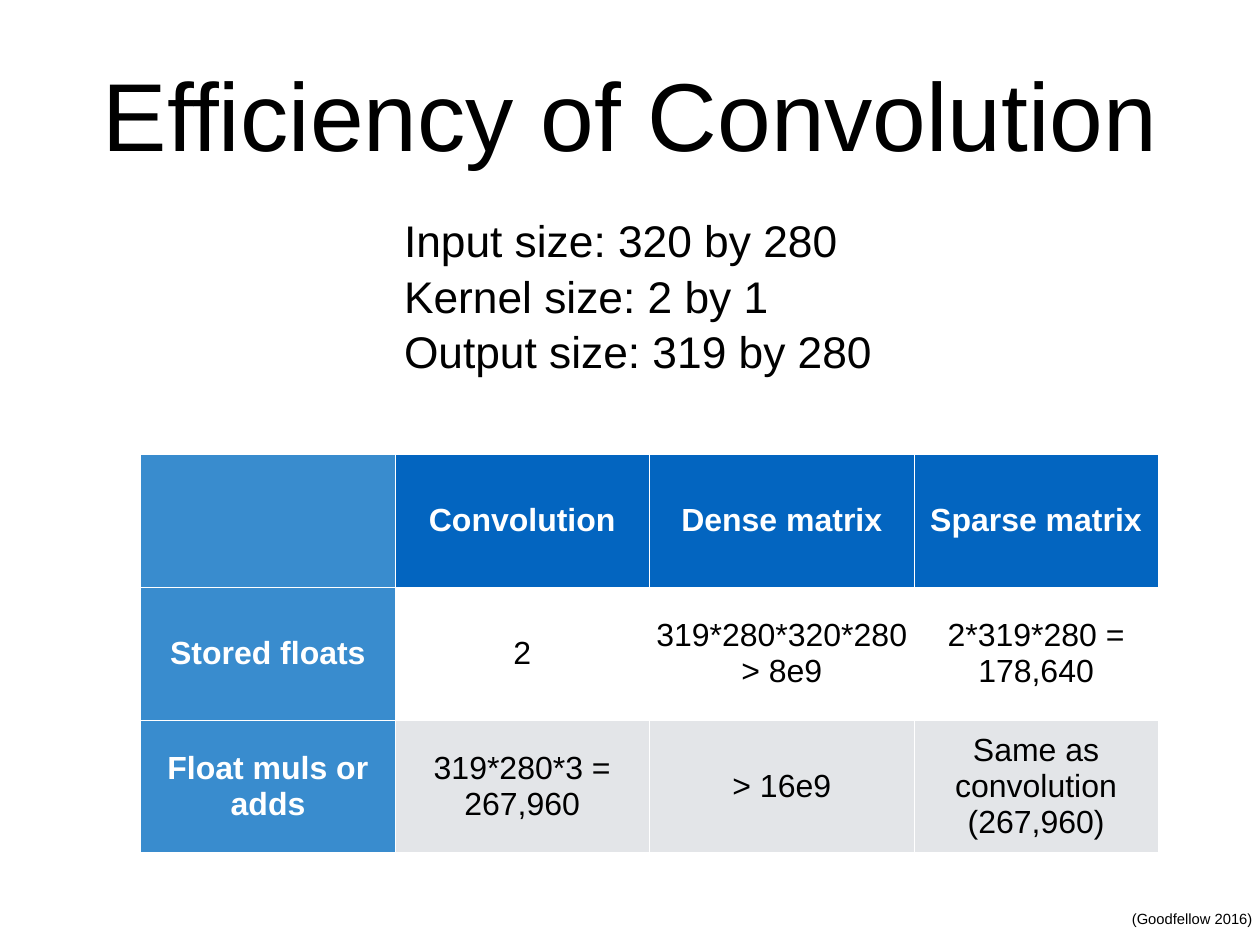
from pptx import Presentation
from pptx.dml.color import RGBColor
from pptx.enum.text import MSO_ANCHOR, MSO_AUTO_SIZE, PP_ALIGN
from pptx.util import Inches, Pt

COLORS = {
    "text": "000000",
    "header_text": "FFFFFF",
    "header_row": "0365C0",
    "header_column": "398CCE",
    "plain_row": "FFFFFF",
    "banded_row": "E3E5E8",
}
INSET = Inches(0.06)
MARGINS = ("margin_left", "margin_top", "margin_right", "margin_bottom")

SIZES = ["Input size: 320 by 280", "Kernel size: 2 by 1", "Output size: 319 by 280"]
COSTS = [
    ["", "Convolution", "Dense matrix", "Sparse matrix"],
    ["Stored floats", "2", "319*280*320*280 > 8e9", "2*319*280 = 178,640"],
    ["Float muls or adds", "319*280*3 = 267,960", "> 16e9",
     "Same as convolution (267,960)"],
]
COLUMN_WIDTHS = [2.87, 2.87, 2.99, 2.75]
ROW_HEIGHT = 1.5


def set_attributes(target, values):
    for name, value in values.items():
        setattr(target, name, value)


def write_lines(frame, lines, size, color="text", bold=False,
                align=PP_ALIGN.CENTER, spacing=1.0):
    frame.text = "\n".join(lines)
    for paragraph in frame.paragraphs:
        set_attributes(paragraph, {
            "alignment": align, "line_spacing": spacing,
            "space_before": Pt(0), "space_after": Pt(0)})
        for run in paragraph.runs:
            set_attributes(run.font, {"name": "Arial", "size": Pt(size), "bold": bold})
            run.font.color.rgb = RGBColor.from_string(COLORS[color])


def format_frame(frame, wrap):
    set_attributes(frame, dict.fromkeys(MARGINS, INSET))
    set_attributes(frame, {
        "vertical_anchor": MSO_ANCHOR.MIDDLE, "word_wrap": wrap,
        "auto_size": MSO_AUTO_SIZE.NONE})


def set_title(slide, text, left, top, width, height):
    title = slide.shapes.title
    set_attributes(title, {
        "left": Inches(left), "top": Inches(top),
        "width": Inches(width), "height": Inches(height)})
    format_frame(title.text_frame, True)
    write_lines(title.text_frame, [text], 78.4)


def add_text(slide, lines, left, top, width, height, size, **style):
    box = slide.shapes.add_textbox(
        Inches(left), Inches(top), Inches(width), Inches(height))
    format_frame(box.text_frame, False)
    write_lines(box.text_frame, lines, size, **style)


def cell_fill(row, column):
    if column == 0:
        return "header_column"
    return ("header_row", "plain_row", "banded_row")[row]


def add_cost_table(slide, left, top):
    table = slide.shapes.add_table(
        len(COSTS), len(COLUMN_WIDTHS), Inches(left), Inches(top),
        Inches(sum(COLUMN_WIDTHS)), Inches(ROW_HEIGHT * len(COSTS))).table
    set_attributes(table, {"first_col": True, "horz_banding": False})
    for column, width in zip(table.columns, COLUMN_WIDTHS):
        column.width = Inches(width)
    for r, values in enumerate(COSTS):
        table.rows[r].height = Inches(ROW_HEIGHT)
        for c, value in enumerate(values):
            cell = table.cell(r, c)
            is_header = r == 0 or c == 0
            set_attributes(cell, dict.fromkeys(MARGINS, INSET))
            cell.vertical_anchor = MSO_ANCHOR.MIDDLE
            cell.fill.solid()
            cell.fill.fore_color.rgb = RGBColor.from_string(COLORS[cell_fill(r, c)])
            write_lines(cell.text_frame, [value], 26,
                        "header_text" if is_header else "text", is_header)


def main():
    deck = Presentation()
    set_attributes(deck, {"slide_width": Inches(14.22), "slide_height": Inches(10.67)})
    slide = deck.slides.add_slide(deck.slide_layouts.get_by_name("Title Only"))
    set_title(slide, "Efficiency of Convolution", 1.04, 0.49, 12.14, 1.58)
    add_text(slide, SIZES, 4.5, 2.37, 5.41, 1.9, 36,
             align=PP_ALIGN.LEFT, spacing=1.05)
    add_cost_table(slide, 1.59, 5.13)
    add_text(slide, ["(Goodfellow 2016)"], 12.71, 10.22, 1.49, 0.31, 12)
    deck.save("out.pptx")


if __name__ == "__main__":
    main()
